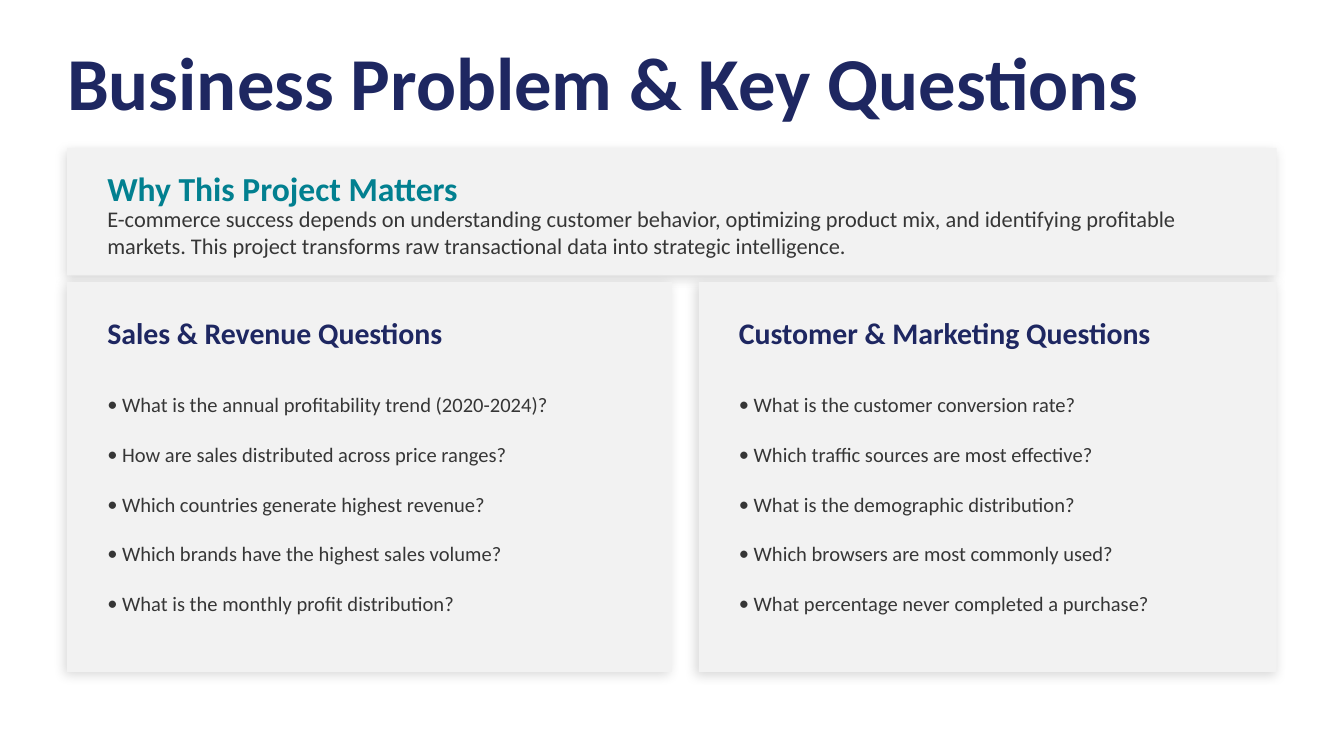
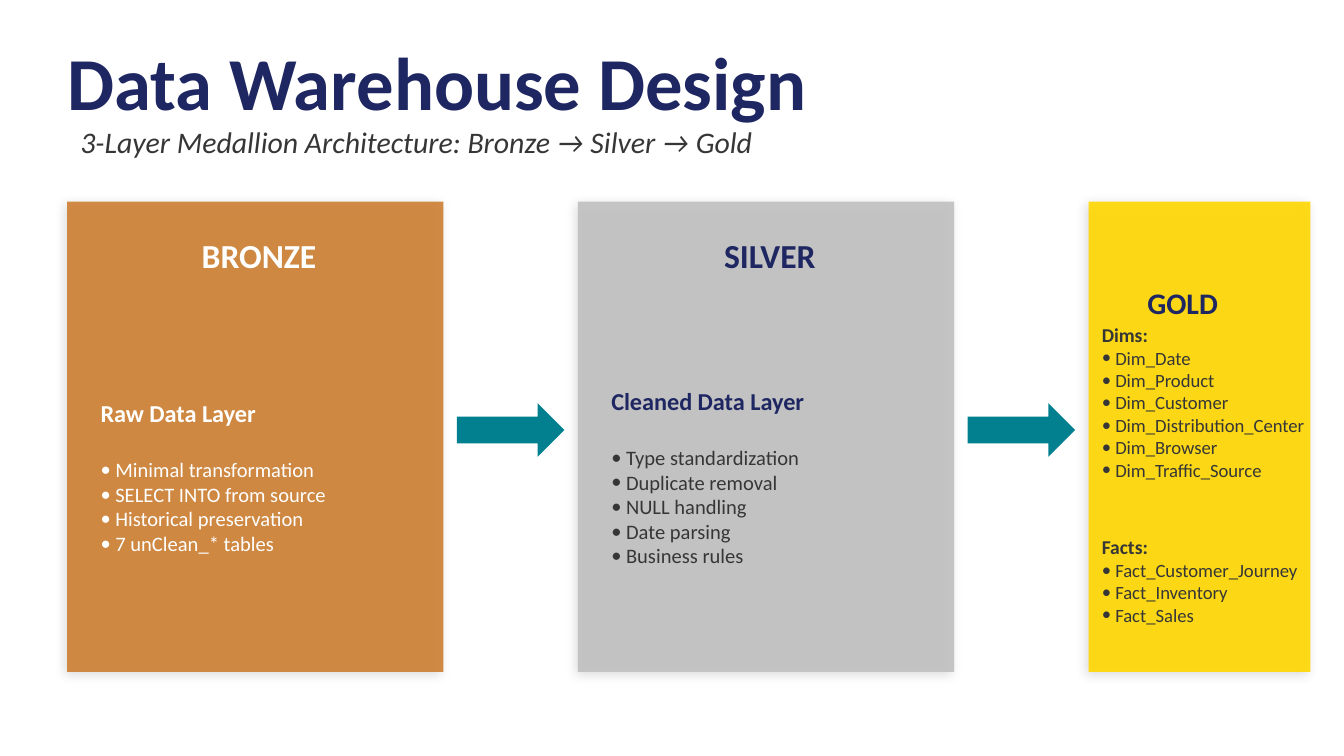
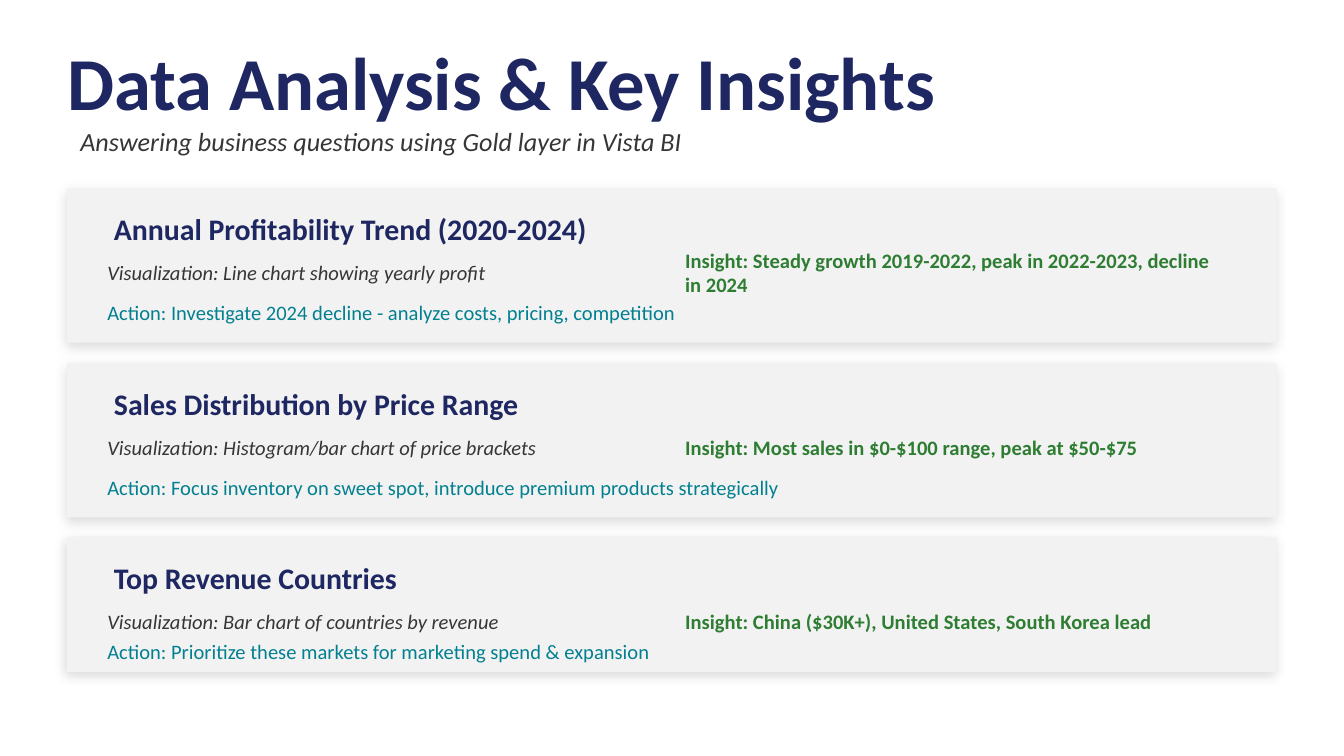
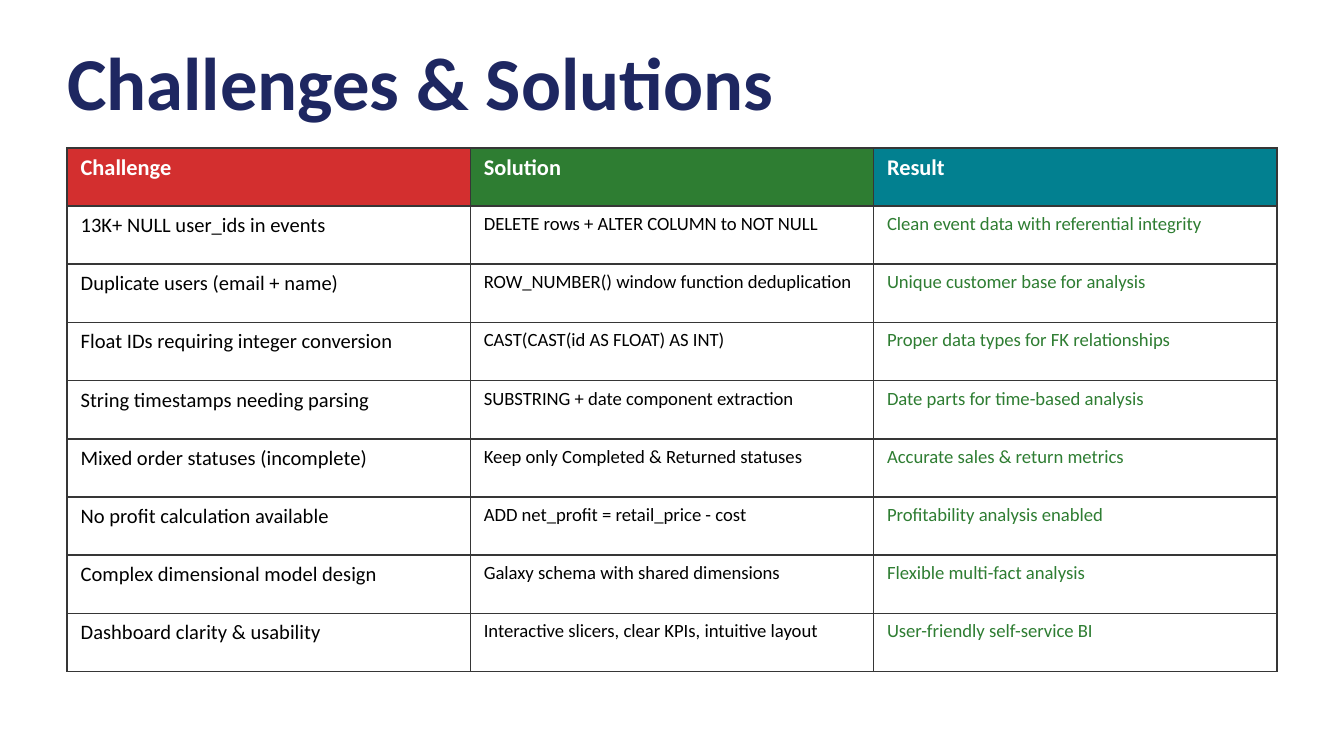
from dataclasses import dataclass, replace

from lxml.etree import SubElement
from pptx import Presentation
from pptx.dml.color import RGBColor
from pptx.enum.shapes import MSO_SHAPE as SHAPE
from pptx.enum.text import MSO_ANCHOR as ANCHOR, PP_ALIGN as ALIGN
from pptx.oxml.ns import qn
from pptx.util import Inches, Pt

FONT = "Calibri"
COLORS = {
    "navy": "1E2761", "teal": "028090", "text": "363636", "card": "F2F2F2",
    "green": "2E7D32", "red": "D32F2F", "white": "FFFFFF", "black": "000000",
    "bronze": "CD7F32", "silver": "C0C0C0", "gold": "FFD700",
}


@dataclass(frozen=True)
class Style:
    """Look of a paragraph; before and after are gaps between paragraphs in points."""
    size: float
    color: str = "text"
    bold: bool = False
    italic: bool = False
    align: ALIGN = ALIGN.LEFT
    bullet: bool = False
    before: float = 0
    after: float = 0


TITLE = Style(40, "navy", bold=True)
HEADING = Style(16, "navy", bold=True)
BODY = Style(11)
BULLET = Style(11, bullet=True)
QUESTION = replace(BULLET, before=13.4)
LAYER_NAME = Style(18, "navy", bold=True, align=ALIGN.CENTER)
LAYER_LEAD = Style(13, "navy", bold=True, after=15.9)
GROUP = Style(10.5, bold=True)
MODEL = Style(10, bullet=True)

SLIDE_WIDTH = 10
LEFT, WIDTH, BOTTOM = 0.5, 9, 5
PAD = 0.2

# ---- Content ----
WHY = ("Why This Project Matters",
       "E-commerce success depends on understanding customer behavior, optimizing "
       "product mix, and identifying profitable markets. This project transforms raw "
       "transactional data into strategic intelligence.")

# left, width, heading, questions
QUESTION_CARDS = [
    (0.5, 4.5, "Sales & Revenue Questions", [
        "What is the annual profitability trend (2020-2024)?",
        "How are sales distributed across price ranges?",
        "Which countries generate highest revenue?",
        "Which brands have the highest sales volume?",
        "What is the monthly profit distribution?"]),
    (5.2, 4.3, "Customer & Marketing Questions", [
        "What is the customer conversion rate?",
        "Which traffic sources are most effective?",
        "What is the demographic distribution?",
        "Which browsers are most commonly used?",
        "What percentage never completed a purchase?"]),
]

# name, fill, heading color, list color, lead, points
LAYERS = [
    (" BRONZE", "bronze", "white", "white", "Raw Data Layer", [
        "Minimal transformation", "SELECT INTO from source",
        "Historical preservation", "7 unClean_* tables"]),
    (" SILVER", "silver", "navy", "text", "Cleaned Data Layer", [
        "Type standardization", "Duplicate removal", "NULL handling",
        "Date parsing", "Business rules"]),
]
DIMS = ["Dim_Date", "Dim_Product", "Dim_Customer", "Dim_Distribution_Center",
        "Dim_Browser", "Dim_Traffic_Source"]
FACTS = ["Fact_Customer_Journey", "Fact_Inventory", "Fact_Sales"]

# card height, action offset, action height, heading, visualization, insight, action
INSIGHTS = [
    (1.15, 0.8, 0.25, " Annual Profitability Trend (2020-2024)",
     "Line chart showing yearly profit",
     "Steady growth 2019-2022, peak in 2022-2023, decline in 2024",
     "Investigate 2024 decline - analyze costs, pricing, competition"),
    (1.15, 0.8, 0.25, " Sales Distribution by Price Range",
     "Histogram/bar chart of price brackets",
     "Most sales in $0-$100 range, peak at $50-$75",
     "Focus inventory on sweet spot, introduce premium products strategically"),
    (1, 0.75, 0.2, " Top Revenue Countries",
     "Bar chart of countries by revenue",
     "China ($30K+), United States, South Korea lead",
     "Prioritize these markets for marketing spend & expansion"),
]

# heading, heading fill, body style
COLUMNS = [("Challenge", "red", Style(11, "black")),
           ("Solution", "green", Style(10, "black")),
           ("Result", "teal", Style(10, "green"))]
CHALLENGES = [
    ("13K+ NULL user_ids in events", "DELETE rows + ALTER COLUMN to NOT NULL",
     "Clean event data with referential integrity"),
    ("Duplicate users (email + name)", "ROW_NUMBER() window function deduplication",
     "Unique customer base for analysis"),
    ("Float IDs requiring integer conversion", "CAST(CAST(id AS FLOAT) AS INT)",
     "Proper data types for FK relationships"),
    ("String timestamps needing parsing", "SUBSTRING + date component extraction",
     "Date parts for time-based analysis"),
    ("Mixed order statuses (incomplete)", "Keep only Completed & Returned statuses",
     "Accurate sales & return metrics"),
    ("No profit calculation available", "ADD net_profit = retail_price - cost",
     "Profitability analysis enabled"),
    ("Complex dimensional model design", "Galaxy schema with shared dimensions",
     "Flexible multi-fact analysis"),
    ("Dashboard clarity & usability", "Interactive slicers, clear KPIs, intuitive layout",
     "User-friendly self-service BI"),
]


# ---- Helpers ----
def rgb(name):
    return RGBColor.from_string(COLORS[name])


def format_paragraph(p, style):
    p.alignment = style.align
    for r in p.runs:
        r.font.name, r.font.size = FONT, Pt(style.size)
        r.font.bold, r.font.italic = style.bold, style.italic
        r.font.color.rgb = rgb(style.color)
    if style.bullet:
        indent = Inches(style.size / 100)
        pPr = p._p.get_or_add_pPr()
        pPr.set("marL", str(indent))
        pPr.set("indent", str(-indent))
        SubElement(pPr, qn("a:buFont"), typeface=FONT)
        SubElement(pPr, qn("a:buChar"), char="•")


def add_text(s, box, *lines, inset=True):
    """Add a middle-anchored text box; each line is a (text, Style) pair."""
    tf = s.shapes.add_textbox(*map(Inches, box)).text_frame
    tf.word_wrap, tf.vertical_anchor = True, ANCHOR.MIDDLE
    if not inset:
        tf.margin_left = tf.margin_right = tf.margin_top = tf.margin_bottom = 0
    for i, (text, style) in enumerate(lines):
        p = tf.add_paragraph() if i else tf.paragraphs[0]
        p.text = text
        format_paragraph(p, style)
        if i and style.before:
            p.space_before = Pt(style.before)
        if i < len(lines) - 1 and style.after:
            p.space_after = Pt(style.after)


def add_block(s, box, color, kind=SHAPE.RECTANGLE):
    sp = s.shapes.add_shape(kind, *map(Inches, box))
    sp.shadow.inherit = False
    sp.fill.solid()
    sp.fill.fore_color.rgb = rgb(color)
    sp.line.fill.background()
    return sp


def add_card(s, box, color="card", opacity=100):
    """Add a rectangle with a soft shadow."""
    spPr = add_block(s, box, color)._element.spPr
    if opacity < 100:
        SubElement(spPr.find(".//" + qn("a:srgbClr")), qn("a:alpha"),
                   val=str(opacity * 1000))
    shadow = SubElement(spPr.find(qn("a:effectLst")), qn("a:outerShdw"),
                        blurRad=str(Pt(6)), dist=str(Pt(2)), dir=str(135 * 60000),
                        algn="bl", rotWithShape="0")
    tint = SubElement(shadow, qn("a:srgbClr"), val=COLORS["black"])
    SubElement(tint, qn("a:alpha"), val="15000")


def set_borders(cell, color, width):
    tcPr = cell._tc.get_or_add_tcPr()
    for i, side in enumerate(("a:lnL", "a:lnR", "a:lnT", "a:lnB")):
        ln = tcPr.makeelement(qn(side), {"w": str(Pt(width))})
        SubElement(SubElement(ln, qn("a:solidFill")), qn("a:srgbClr"), val=COLORS[color])
        tcPr.insert(i, ln)


def new_slide(prs, title, subtitle=None, subtitle_size=16):
    s = prs.slides.add_slide(prs.slide_layouts[6])
    s.background.fill.solid()
    s.background.fill.fore_color.rgb = rgb("white")
    add_text(s, (LEFT, 0.3, WIDTH, 0.6), (title, TITLE), inset=False)
    if subtitle:
        add_text(s, (LEFT, 0.9, WIDTH, 0.3), (subtitle, Style(subtitle_size, italic=True)))
    return s


# ---- Slides ----
def questions_slide(prs):
    s = new_slide(prs, "Business Problem & Key Questions")
    heading, reason = WHY
    add_card(s, (LEFT, 1.1, WIDTH, 0.95))
    inner = WIDTH - 2 * PAD
    add_text(s, (LEFT + PAD, 1.25, inner, 0.3), (heading, Style(18, "teal", bold=True)))
    add_text(s, (LEFT + PAD, 1.6, inner, 0.25), (reason, Style(12)))
    top = 2.1
    for left, width, heading, questions in QUESTION_CARDS:
        x, inner = left + PAD, width - 2 * PAD
        add_card(s, (left, top, width, BOTTOM - top))
        add_text(s, (x, top + 0.2, inner, 0.35), (heading, HEADING))
        add_text(s, (x, top + 0.6, inner, 2.1), *[(q, QUESTION) for q in questions])


def warehouse_slide(prs):
    s = new_slide(prs, "Data Warehouse Design",
                  "3-Layer Medallion Architecture: Bronze → Silver → Gold")
    top, width, arrow, gap = 1.5, 2.8, 0.8, 0.1
    height = BOTTOM - top
    x = LEFT
    for name, fill, head_color, list_color, lead, points in LAYERS:
        add_card(s, (x, top, width, height), fill, 90)
        add_text(s, (x, 1.65, width, 0.5), (name, replace(LAYER_NAME, color=head_color)))
        add_text(s, (x + 0.15, 2.3, width - 0.3, 2.5),
                 (lead, replace(LAYER_LEAD, color=head_color)),
                 *[(point, replace(BULLET, color=list_color)) for point in points])
        add_block(s, (x + width + gap, 3, arrow, 0.4), "teal", SHAPE.RIGHT_ARROW)
        x += width + arrow + 2 * gap
    add_card(s, (x, top, 1.65, height), "gold", 90)
    add_text(s, (x, 2.1, 1.4, 0.3), ("GOLD", replace(HEADING, align=ALIGN.CENTER)))
    add_text(s, (x, 2.38, 1.99, 2.3),
             ("Dims:", GROUP), *[(d, MODEL) for d in DIMS],
             ("Facts:", replace(GROUP, before=29)), *[(f, MODEL) for f in FACTS])


def insights_slide(prs):
    s = new_slide(prs, "Data Analysis & Key Insights",
                  "Answering business questions using Gold layer in Vista BI", 14)
    x, inner, y = LEFT + PAD, WIDTH - 2 * PAD, 1.4
    for height, action_dy, action_h, heading, visual, insight, action in INSIGHTS:
        add_card(s, (LEFT, y, WIDTH, height))
        add_text(s, (x, y + 0.15, inner, 0.3), (heading, HEADING))
        add_text(s, (x, y + 0.5, 4, 0.25),
                 (f"Visualization: {visual}", replace(BODY, italic=True)))
        add_text(s, (5, y + 0.5, 4.2, 0.25),
                 (f"Insight: {insight}", replace(BODY, color="green", bold=True)))
        add_text(s, (x, y + action_dy, inner, action_h),
                 (f"Action: {action}", replace(BODY, color="teal")))
        y += height + 0.15


def challenges_slide(prs):
    s = new_slide(prs, "Challenges & Solutions")
    top, n_rows = 1.1, len(CHALLENGES) + 1
    box = (LEFT, top, WIDTH, BOTTOM - top)
    table = s.shapes.add_table(n_rows, len(COLUMNS), *map(Inches, box)).table
    table.first_row = table.horz_banding = False
    for col, (heading, fill, body) in enumerate(COLUMNS):
        texts = [heading] + [row[col] for row in CHALLENGES]
        for row, text in enumerate(texts):
            cell = table.cell(row, col)
            cell.text = text
            if row:
                cell.fill.background()
            else:
                cell.fill.solid()
                cell.fill.fore_color.rgb = rgb(fill)
            style = body if row else Style(12, "white", bold=True)
            format_paragraph(cell.text_frame.paragraphs[0], style)
            set_borders(cell, "text", 1)


def main():
    prs = Presentation()
    prs.slide_width = Inches(SLIDE_WIDTH)
    prs.slide_height = Inches(SLIDE_WIDTH * 9 / 16)
    for build in (questions_slide, warehouse_slide, insights_slide, challenges_slide):
        build(prs)
    prs.save("out.pptx")


if __name__ == "__main__":
    main()
